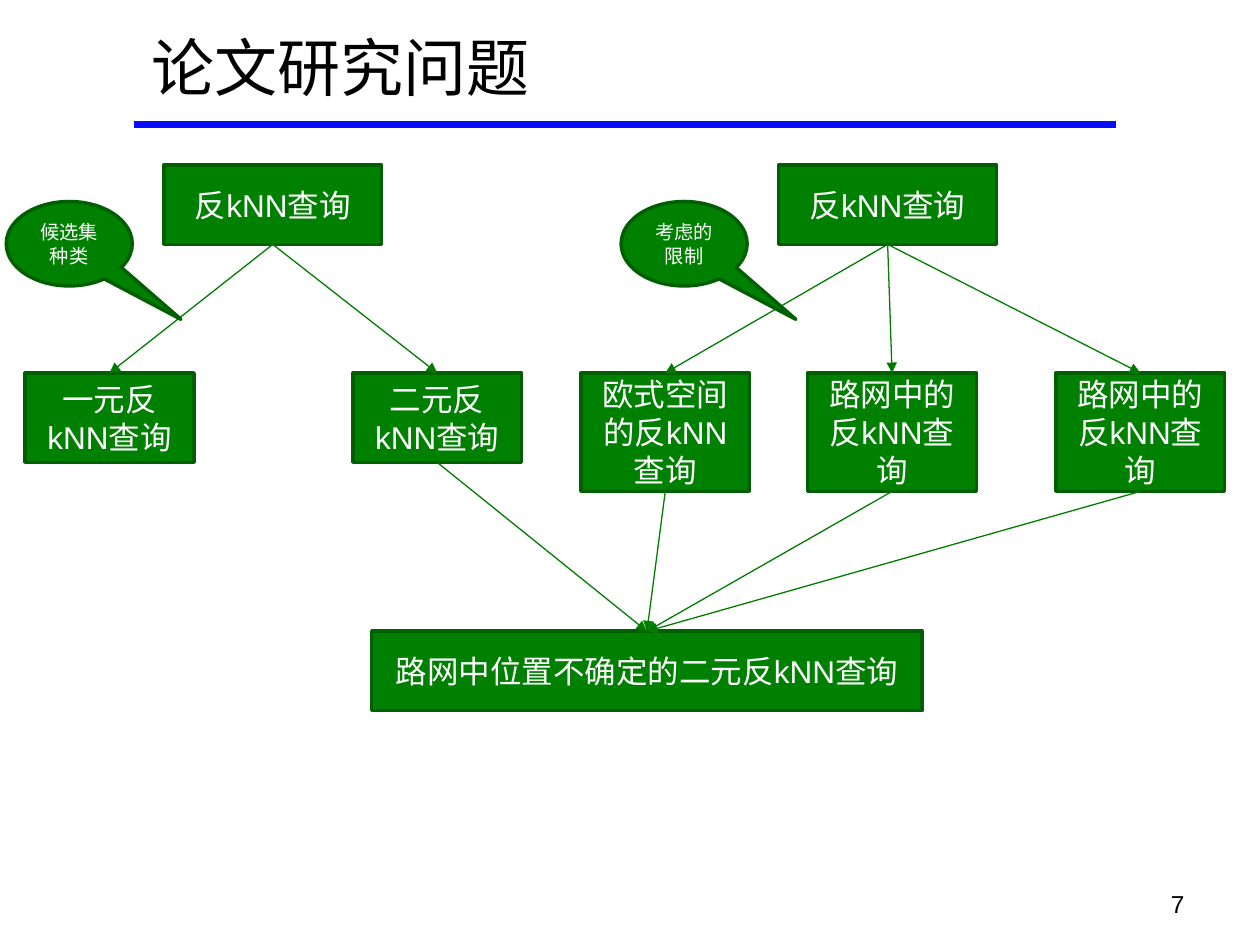
from lxml.etree import SubElement as Sub
from pptx import Presentation
from pptx.dml.color import RGBColor
from pptx.enum.shapes import MSO_CONNECTOR as Conn, MSO_SHAPE as Geo
from pptx.enum.text import MSO_ANCHOR as Anchor, MSO_AUTO_SIZE as Fit, PP_ALIGN as Align
from pptx.oxml.ns import qn
from pptx.util import Inches, Pt

BLACK = RGBColor(0x00, 0x00, 0x00)
WHITE = RGBColor(0xFF, 0xFF, 0xFF)
BLUE = RGBColor(0x0A, 0x0A, 0xFF)
GREEN = RGBColor(0x00, 0x80, 0x00)
EDGE = RGBColor(0x00, 0x5F, 0x00)
ARROW = RGBColor(0x00, 0x7D, 0x00)
TOP, BOTTOM = 0, 2


def put(shape, text, size, color, align):
    """Write one centred-in-height run of text into a shape."""
    frame = shape.text_frame
    frame.word_wrap = True
    frame.auto_size = Fit.NONE
    frame.vertical_anchor = Anchor.MIDDLE
    para = frame.paragraphs[0]
    para.alignment = align
    run = para.add_run()
    run.text = text
    run.font.name = "Arial"
    run.font.size = Pt(size)
    run.font.color.rgb = color


def add_node(slide, box, text, size=18, geo=Geo.RECTANGLE):
    """Add a green shape with white text."""
    node = slide.shapes.add_shape(geo, *map(Inches, box))
    node.shadow.inherit = False
    node.fill.solid()
    node.fill.fore_color.rgb = GREEN
    node.line.color.rgb = EDGE
    node.line.width = Pt(2)
    put(node, text, size, WHITE, Align.CENTER)
    return node


def add_line(slide, ends, color, width):
    """Add a plain straight line without a shadow."""
    line = slide.shapes.add_connector(Conn.STRAIGHT, *map(Inches, ends))
    line.line.color.rgb = color
    line.line.width = Pt(width)
    Sub(line._element.spPr, qn("a:effectLst"))
    return line


def link(slide, start, end):
    """Glue an arrow from the bottom of one node to the top of another."""
    line = add_line(slide, (0, 0, 1, 1), ARROW, 0.75)
    line.begin_connect(start, BOTTOM)
    line.end_connect(end, TOP)
    Sub(line.line._get_or_add_ln(), qn("a:tailEnd"), type="triangle")


def add_head(slide, box, text):
    """Place the title and the rule below it."""
    title = slide.shapes.title
    title.left, title.top, title.width, title.height = map(Inches, box)
    put(title, text, 36, BLACK, Align.LEFT)
    add_line(slide, (1.06, 0.99, 8.86, 0.99), BLUE, 4)


def add_tree(slide, box, note, kids):
    """Draw a query root, its callout and its child nodes."""
    left, top, height = box
    root = add_node(slide, (left + 1.25, top, 1.73, 0.63), "反kNN查询")
    nodes = []
    for kid, text in kids:
        node = add_node(slide, (kid, top + 1.65, 1.34, height), text)
        link(slide, root, node)
        nodes.append(node)
    call = add_node(slide, (left, top + 0.29, 1, 0.67), note, 11, Geo.OVAL_CALLOUT)
    call.adjustments[0] = 0.887
    call.adjustments[1] = 0.895
    return nodes


def add_goal(slide, box, text, nodes):
    """Add the final query and the arrows that lead to it."""
    goal = add_node(slide, box, text)
    for node in nodes:
        link(slide, node, goal)


def add_foot(slide, box, text):
    """Add the page number."""
    foot = slide.shapes.add_textbox(*map(Inches, box))
    put(foot, text, 14, BLACK, Align.RIGHT)


def main():
    """Build the slide and save it."""
    deck = Presentation()
    deck.slide_width, deck.slide_height = Inches(10), Inches(7.5)
    slide = deck.slides.add_slide(deck.slide_layouts[5])
    add_head(slide, (1.1, 0.22, 8.47, 0.62), "论文研究问题")
    kinds = add_tree(slide, (0.05, 1.31, 0.71), "候选集种类",
                     [(0.2, "一元反kNN查询"), (2.8, "二元反kNN查询")])
    road = "路网中的反kNN查询"
    limits = add_tree(slide, (4.93, 1.31, 0.94), "考虑的限制",
                      [(4.61, "欧式空间的反kNN查询"), (6.41, road), (8.38, road)])
    add_goal(slide, (2.95, 5.01, 4.37, 0.63), "路网中位置不确定的二元反kNN查询",
             kinds[1:] + limits)
    add_foot(slide, (7.17, 7, 2.33, 0.35), "7")
    deck.save("out.pptx")


if __name__ == "__main__":
    main()
